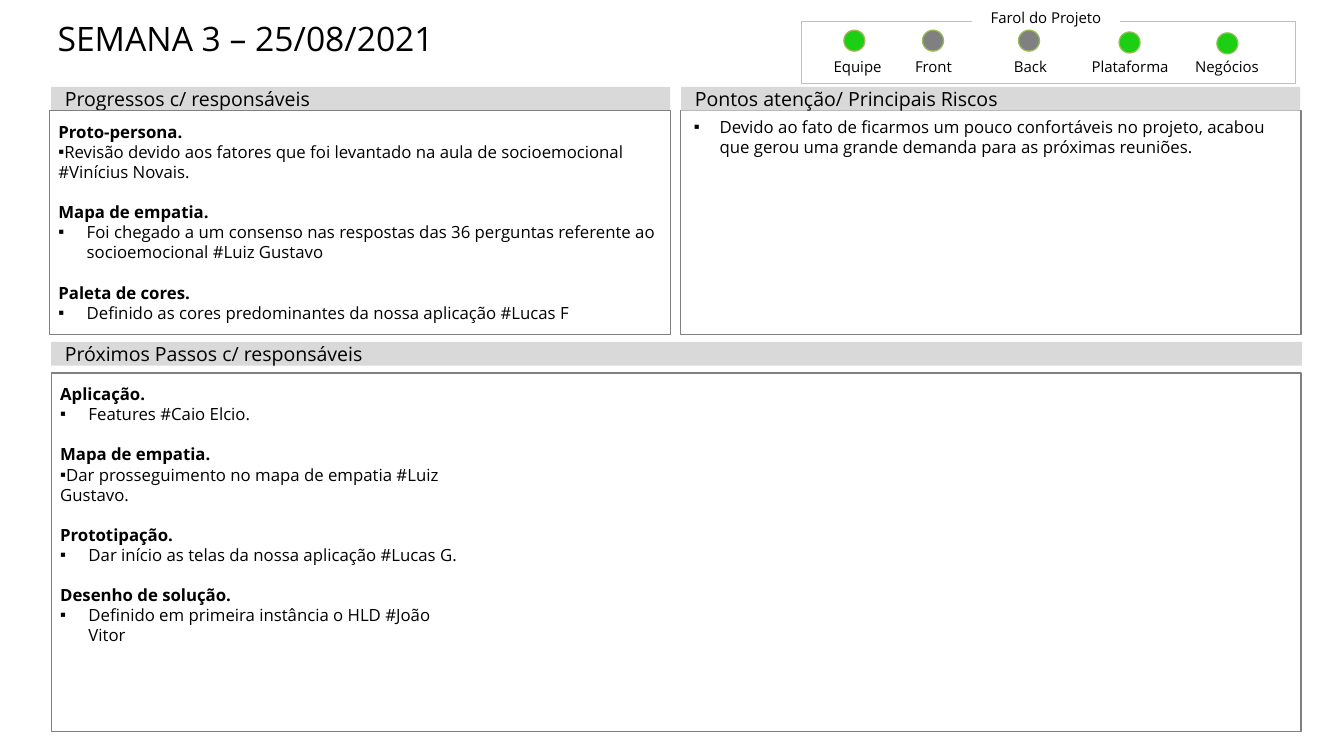
from lxml import etree
from pptx import Presentation
from pptx.dml.color import RGBColor
from pptx.enum.shapes import MSO_SHAPE
from pptx.enum.text import MSO_ANCHOR, MSO_AUTO_SIZE, PP_ALIGN
from pptx.oxml.ns import qn
from pptx.util import Inches, Pt

deck = Presentation()
deck.slide_width, deck.slide_height = Inches(14.7), Inches(8.27)
slide = deck.slides.add_slide(deck.slide_layouts[1])


def add_box(left, top, width, height, kind=MSO_SHAPE.RECTANGLE, fill=None, line=None, weight=1):
    box = slide.shapes.add_shape(kind, Inches(left), Inches(top), Inches(width), Inches(height))
    box.shadow.inherit = False
    if fill:
        box.fill.solid()
        box.fill.fore_color.rgb = RGBColor.from_string(fill)
    else:
        box.fill.background()
    if line:
        box.line.color.rgb = RGBColor.from_string(line)
        box.line.width = Pt(weight)
    else:
        box.line.fill.background()
    return box


def write(owner, lines, size=13.2, insets=(0.1, 0.05, 0.1, 0.05), anchor=MSO_ANCHOR.TOP,
          align=PP_ALIGN.LEFT, wrap=True, headings=False, gap=0):
    frame = owner.text_frame
    frame.auto_size = MSO_AUTO_SIZE.NONE
    frame.word_wrap = wrap
    frame.vertical_anchor = anchor
    frame.margin_left, frame.margin_top, frame.margin_right, frame.margin_bottom = map(Inches, insets)
    for number, (text, indent) in enumerate(lines):
        paragraph = frame.paragraphs[0] if number == 0 else frame.add_paragraph()
        paragraph.alignment = align
        is_heading = headings and indent is None
        paragraph.space_before = Pt(gap if is_heading and number else 0)
        run = paragraph.add_run()
        run.text = text
        run.font.size = Pt(size)
        run.font.name = "Open Sans"
        run.font.bold = is_heading
        run.font.color.rgb = RGBColor.from_string("000000")
        if indent:
            properties = paragraph._p.get_or_add_pPr()
            properties.set("marL", str(Inches(indent[0])))
            properties.set("indent", str(Inches(indent[1])))
            etree.SubElement(properties, qn("a:buFont")).set("typeface", "Arial")
            etree.SubElement(properties, qn("a:buChar")).set("char", "▪")


hanging, flush = (0.31, -0.31), (0, -0.28)

title = slide.shapes.title
title.left, title.top, title.width, title.height = map(Inches, (0.51, 0.2, 13.23, 0.88))
write(title, [("SEMANA 3 – 25/08/2021", None)], size=26.5, insets=(0.12, 0, 0.12, 0))

risks = slide.placeholders[1]
risks.left, risks.top, risks.width, risks.height = map(Inches, (7.49, 1.23, 6.74, 0.55))
write(risks, [("Devido ao fato de ficarmos um pouco confortáveis no projeto, acabou que gerou "
               "uma grande demanda para as próximas reuniões.", (0.28, -0.28))])
add_box(7.44, 1.21, 6.79, 2.45, line="808080")

for heading, left, top, width in [
    ("Progressos c/ responsáveis", 0.56, 0.95, 6.77),
    ("Pontos atenção/ Principais Riscos", 7.45, 0.95, 6.77),
    ("Próximos Passos c/ responsáveis", 0.56, 3.74, 13.68),
]:
    band = add_box(left, top, width, 0.26, fill="D9D9D9")
    write(band, [(heading, None)], size=15.4, insets=(0.15, 0.07, 0.15, 0.07), anchor=MSO_ANCHOR.MIDDLE)

progress = add_box(0.54, 1.21, 6.79, 2.45, line="808080")
next_steps = add_box(0.56, 4.08, 13.67, 3.92, line="808080")
columns = next_steps.text_frame._txBody.bodyPr
columns.set("numCol", "3")
columns.set("spcCol", str(Inches(0.1)))

for panel, lines in [
    (progress, [
        ("Proto-persona.", None),
        ("Revisão devido aos fatores que foi levantado na aula de socioemocional #Vinícius Novais.", flush),
        ("Mapa de empatia.", None),
        ("Foi chegado a um consenso nas respostas das 36 perguntas referente ao "
         "socioemocional #Luiz Gustavo", hanging),
        ("Paleta de cores.", None),
        ("Definido as cores predominantes da nossa aplicação #Lucas F", hanging),
    ]),
    (next_steps, [
        ("Aplicação.", None),
        ("Features #Caio Elcio.", hanging),
        ("Mapa de empatia.", None),
        ("Dar prosseguimento no mapa de empatia #Luiz Gustavo.", flush),
        ("Prototipação.", None),
        ("Dar início as telas da nossa aplicação #Lucas G.", hanging),
        ("Desenho de solução.", None),
        ("Definido em primeira instância o HLD #João Vitor", hanging),
    ]),
]:
    write(panel, lines, insets=(0.1, 0.12, 0.1, 0.05), headings=True, gap=15.8)

label_format = dict(size=11.8, insets=(0.06, 0.06, 0.06, 0), anchor=MSO_ANCHOR.BOTTOM,
                    align=PP_ALIGN.CENTER, wrap=False)
add_box(8.77, 0.23, 5.4, 0.68, line="BFBFBF", weight=0.5)
caption = add_box(10.63, 0.06, 1.62, 0.23, fill="FFFFFF")
write(caption, [("Farol do Projeto", None)], **label_format)

for area, label_left, light_left, light_top, color in [
    ("Equipe", 8.89, 9.23, 0.33, "1BCF13"),
    ("Front", 9.72, 10.09, 0.33, "808080"),
    ("Back", 10.78, 11.14, 0.33, "808080"),
    ("Plataforma", 11.87, 12.24, 0.35, "1BCF13"),
    ("Negócios", 12.93, 13.31, 0.36, "1BCF13"),
]:
    label = slide.shapes.add_textbox(Inches(label_left), Inches(0.63), Inches(0.98), Inches(0.2))
    write(label, [(area, None)], **label_format)
    add_box(light_left, light_top, 0.23, 0.23, kind=MSO_SHAPE.OVAL, fill=color, line="9BBB59")

deck.save("out.pptx")
